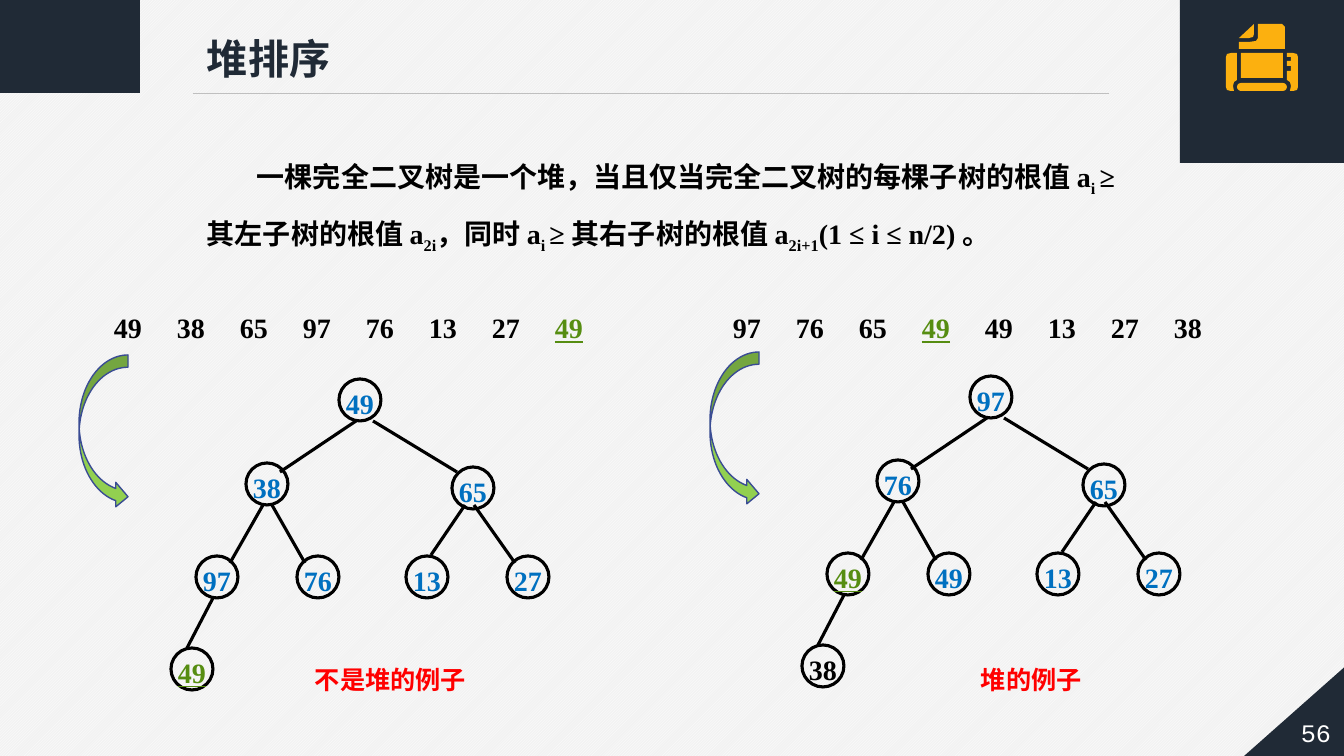
from lxml.etree import SubElement
from pptx import Presentation
from pptx.dml.color import RGBColor
from pptx.enum.dml import MSO_PATTERN
from pptx.enum.shapes import MSO_CONNECTOR, MSO_SHAPE as SHAPE
from pptx.enum.text import MSO_ANCHOR as ANCHOR, PP_ALIGN as ALIGN
from pptx.oxml.ns import qn
from pptx.util import Emu, Pt

PX = 914400 / 100.8
SERIF = "Times New Roman"
NAVY, AMBER, BLACK, BLUE, GREEN, RED = (
    "202A36", "FCB00F", "000000", "0070C0", "568D11", "FF0000")

# Each definition run: text, whether it is a subscript
DEFINITION = [
    ("一棵完全二叉树是一个堆，当且仅当完全二叉树的每棵子树的根值 a", False), ("i ", True),
    ("≥ 其左子树的根值 a", False), ("2i", True),
    ("，同时 a", False), ("i ", True),
    ("≥ 其右子树的根值 a", False), ("2i+1", True),
    ("(1 ≤ i ≤ n/2) 。", False),
]

# Values are in level order; "marked" is the index of the second 49
EXAMPLES = [
    dict(values=[49, 38, 65, 97, 76, 13, 27, 49], marked=7, black=None,
         row_x=104, shift=(0, 0), caption="不是堆的例子", caption_x=305),
    dict(values=[97, 76, 65, 49, 49, 13, 27, 38], marked=3, black=7,
         row_x=723, shift=(631, -3), caption="堆的例子", caption_x=971),
]
NODE_SIZE = 42
NODE_CENTRES = [(360, 400), (267, 484), (473, 488), (217, 577),
                (318, 577), (427, 577), (528, 577), (192, 669)]
EDGES = [(356, 421, 280, 472), (373, 421, 457, 472), (263, 505, 230, 563),
         (272, 505, 305, 563), (465, 505, 431, 555), (474, 505, 515, 563),
         (213, 598, 187, 648)]
VALUE_PITCH = 63

PRINTER_OUTLINES = [
    [(1231, 53), (1237, 53), (1237, 80), (1234, 82), (1233, 86), (1234, 91),
     (1231, 91), (1227, 90), (1226, 87), (1226, 57), (1227, 54)],
    [(1287, 53), (1293, 53), (1297, 54), (1298, 57), (1298, 87), (1297, 90),
     (1293, 91), (1290, 91), (1291, 86), (1290, 82), (1287, 80), (1287, 71),
     (1291, 71), (1291, 66), (1287, 66), (1287, 61), (1291, 61), (1291, 57),
     (1287, 57)],
    [(1239, 38), (1254, 24), (1254, 34), (1253, 37), (1249, 38)],
    [(1239, 42), (1249, 42), (1256, 41), (1258, 38), (1258, 24), (1282, 24),
     (1285, 27), (1285, 49), (1239, 49)],
]


def px(*lengths):
    return [Emu(round(length * PX)) for length in lengths]


def rgb(color):
    return RGBColor.from_string(color)


def style(shape, fill=None, line=None, width=1):
    shape.shadow.inherit = False
    if fill:
        shape.fill.solid()
        shape.fill.fore_color.rgb = rgb(fill)
    else:
        shape.fill.background()
    if line:
        shape.line.color.rgb = rgb(line)
        shape.line.width = Pt(width)
    else:
        shape.line.fill.background()
    return shape


def add_shape(kind, box, *look):
    return style(page.shapes.add_shape(kind, *px(*box)), *look)


def add_line(ends, color, width):
    line = page.shapes.add_connector(MSO_CONNECTOR.STRAIGHT, *px(*ends))
    line.line.color.rgb = rgb(color)
    line.line.width = Pt(width)
    SubElement(line.element.spPr, qn("a:effectLst"))


def add_text_box(box, spacing=1.0, wrap=True):
    """Add a text box and return its first paragraph."""
    frame = page.shapes.add_textbox(*px(*box)).text_frame
    frame.word_wrap = wrap
    para = frame.paragraphs[0]
    para.line_spacing = spacing
    return para


def add_run(para, text, size, color, bold=True, underline=False, name=SERIF):
    span = para.add_run()
    span.text = text
    font = span.font
    font.name, font.size, font.bold = name, Pt(size), bold
    font.underline = underline
    font.color.rgb = rgb(color)
    return span


def add_value_row(example):
    para = add_text_box((example["row_x"], 289, 538, 55), 1.5)
    tabs = SubElement(para._p.get_or_add_pPr(), qn("a:tabLst"))
    for index, value in enumerate(example["values"]):
        if index:
            stop = px(index * VALUE_PITCH)[0]
            SubElement(tabs, qn("a:tab"), pos=str(stop), algn="l")
            add_run(para, "\t", 20, BLACK)
        marked = index == example["marked"]
        add_run(para, str(value), 20, GREEN if marked else BLACK, underline=marked)


def add_tree(example):
    dx, dy = example["shift"]
    add_shape(SHAPE.CURVED_RIGHT_ARROW, (79 + dx, 355 + dy, 49, 154),
              "92D050", "3A4C94", 1)
    for x1, y1, x2, y2 in EDGES:
        add_line((x1 + dx, y1 + dy, x2 + dx, y2 + dy), BLACK, 2.25)
    for index, (x, y) in enumerate(NODE_CENTRES):
        left, top = x + dx - NODE_SIZE // 2, y + dy - NODE_SIZE // 2
        node = add_shape(SHAPE.OVAL, (left, top, NODE_SIZE, NODE_SIZE),
                         None, BLACK, 2.25)
        frame = node.text_frame
        frame.word_wrap = False
        frame.vertical_anchor = ANCHOR.MIDDLE
        para = frame.paragraphs[0]
        para.alignment, para.line_spacing = ALIGN.CENTER, 1.2
        marked = index == example["marked"]
        color = GREEN if marked else BLACK if index == example["black"] else BLUE
        add_run(para, str(example["values"][index]), 20, color, underline=marked)


def add_printer():
    for first, *rest in PRINTER_OUTLINES:
        builder = page.shapes.build_freeform(*first, scale=PX)
        builder.add_line_segments(rest, close=True)
        style(builder.convert_to_shape(), AMBER)
    add_shape(SHAPE.RECTANGLE, (1241, 53, 42, 25), AMBER)
    scroll = add_shape(SHAPE.ROUNDED_RECTANGLE, (1237, 83, 50, 8), AMBER)
    scroll.adjustments[0] = 0.5


deck = Presentation()
deck.slide_width, deck.slide_height = px(1344, 756)
page = deck.slides.add_slide(deck.slide_layouts[6])
backdrop = page.background.fill
backdrop.patterned()
backdrop.pattern = MSO_PATTERN.LIGHT_UPWARD_DIAGONAL
backdrop.fore_color.rgb = rgb("FFFFFF")
backdrop.back_color.rgb = rgb("F2F2F2")

add_shape(SHAPE.RECTANGLE, (0, 0, 140, 93), NAVY)
add_line((193, 93, 1109, 93), "BFBFBF", 0.5)
corner = add_shape(SHAPE.RIGHT_TRIANGLE, (1243, 664, 105, 93), NAVY)
corner.element.spPr.xfrm.set("flipH", "1")
number = add_text_box((1286, 712, 60, 38), wrap=False)
number.alignment = ALIGN.CENTER
add_run(number, "56", 18, "FFFFFF", bold=False, name="Courier New")

definition = add_text_box((197, 135, 940, 106), 1.5)
definition.space_after = Pt(6)
definition._p.get_or_add_pPr().set("indent", str(px(50)[0]))
for text, subscript in DEFINITION:
    span = add_run(definition, text, 20, BLACK)
    if subscript:
        span._r.get_or_add_rPr().set("baseline", "-25000")
add_run(add_text_box((197, 19, 145, 65), 1.2, False), "堆排序", 29.4, NAVY)
add_shape(SHAPE.RECTANGLE, (1180, 0, 164, 163), NAVY)
add_printer()

for example in EXAMPLES:
    add_value_row(example)
    add_tree(example)
    caption = add_text_box((example["caption_x"], 659, 202, 40))
    add_run(caption, example["caption"], 18, RED)

deck.save("out.pptx")
